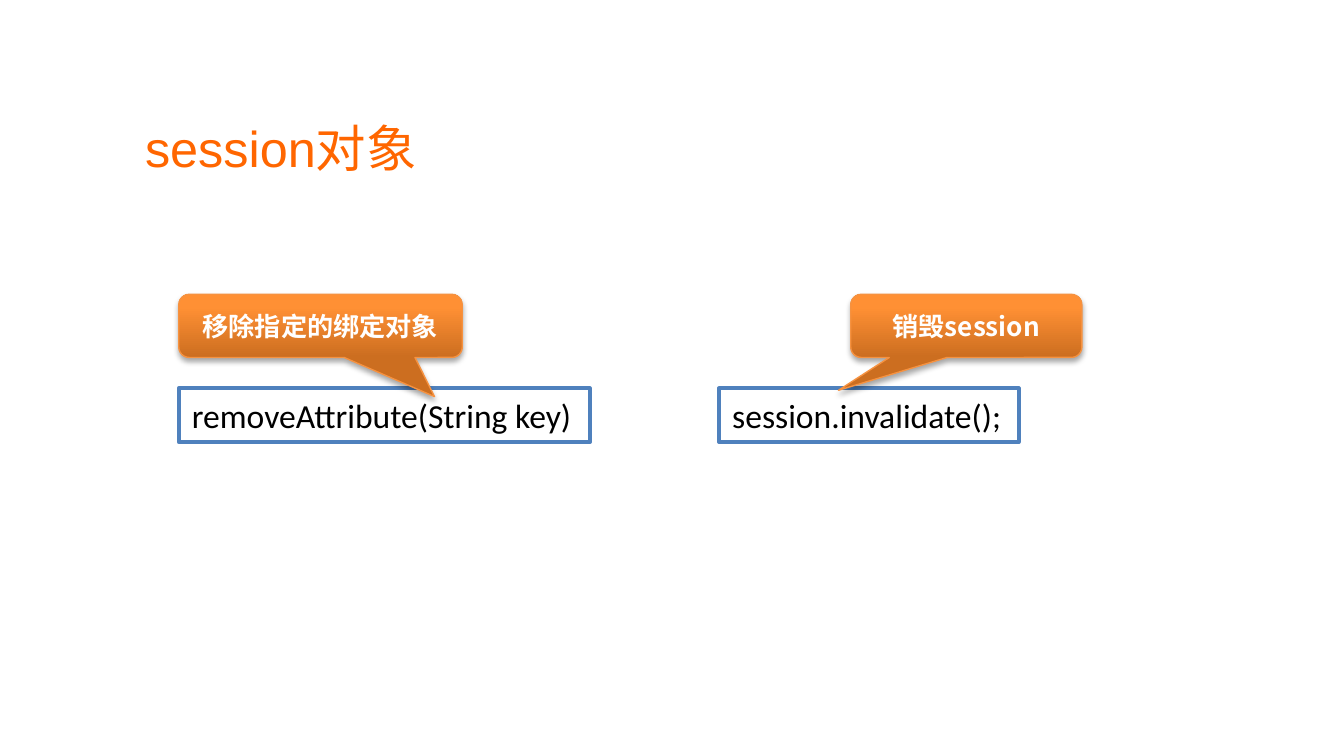
from lxml import etree
from pptx import Presentation
from pptx import util as u
from pptx.dml.color import RGBColor
from pptx.enum import shapes, text
from pptx.oxml import parse_xml
from pptx.oxml.ns import nsdecls, qn

TITLE = "session对象"
CODES = [
    ("removeAttribute(String key)", 1.33, 3.06),
    ("session.invalidate();", 5.35, 2.23),
]
NOTES = [
    ("移除指定的绑定对象", 1.33, 2.11, (0.402, 1.119, 0.167)),
    ("销毁session", 6.33, 1.72, (-0.553, 1.02, 0.167)),
]
COLORS = {
    "title": "FF6600", "box": "FFFFFF", "edge": "4F81BD", "code": "000000",
    "note": "FFFFFF", "rim": "F69240", "shade": "000000",
}
STOPS = [(0, "CC6E20"), (80, "FF9034"), (100, "FF9136")]
CJK = "Noto Sans CJK SC"
CODE_TOP, CODE_HIGH = 2.89, 0.4
NOTE_TOP, NOTE_HIGH = 2.19, 0.47


def color(name):
    return RGBColor.from_string(COLORS[name])


def write(shape, words, size, font, tint, align, anchor, bold=False):
    frame = shape.text_frame
    frame.text = words
    frame.vertical_anchor = anchor
    line = frame.paragraphs[0]
    line.alignment = align
    run = line.runs[0]
    run.font.size = u.Pt(size)
    run.font.name = font
    run.font.bold = bold
    run.font.color.rgb = color(tint)
    east = etree.SubElement(run.font._element, qn("a:ea"))
    east.set("typeface", CJK)


def draw(slide, kind, left, top, wide, high, edge, width):
    shape = slide.shapes.add_shape(
        kind, u.Inches(left), u.Inches(top), u.Inches(wide), u.Inches(high))
    shape.shadow.inherit = False
    shape.line.color.rgb = color(edge)
    shape.line.width = u.Pt(width)
    return shape


def shade(shape):
    props = shape._element.spPr
    stops = "".join(
        f'<a:gs pos="{pos * 1000}"><a:srgbClr val="{tint}"/></a:gs>'
        for pos, tint in STOPS)
    props.find(qn("a:prstGeom")).addnext(parse_xml(
        f'<a:gradFill {nsdecls("a")} rotWithShape="1"><a:gsLst>{stops}</a:gsLst>'
        '<a:lin ang="16200000" scaled="0"/></a:gradFill>'))
    props.find(qn("a:effectLst")).append(parse_xml(
        f'<a:outerShdw {nsdecls("a")} blurRad="{u.Pt(3.1)}" dist="{u.Pt(1.8)}" '
        f'dir="5400000" rotWithShape="0"><a:srgbClr val="{COLORS["shade"]}">'
        '<a:alpha val="35000"/></a:srgbClr></a:outerShdw>'))


def main():
    deck = Presentation()
    deck.slide_width = u.Inches(10)
    deck.slide_height = u.Inches(10) * 9 // 16
    slide = deck.slides.add_slide(deck.slide_layouts[5])
    align, anchor = text.PP_ALIGN, text.MSO_ANCHOR

    title = slide.shapes.title
    title.left, title.top = u.Inches(0.74), u.Inches(0.71)
    title.width, title.height = u.Inches(2.7), u.Inches(0.77)
    frame = title.text_frame
    frame.margin_left = frame.margin_right = u.Inches(0.07)
    frame.margin_top = frame.margin_bottom = u.Inches(0.04)
    write(title, TITLE, 27, "Arial", "title", align.CENTER, anchor.MIDDLE)

    for words, left, wide in CODES:
        box = draw(slide, shapes.MSO_SHAPE.RECTANGLE,
                   left, CODE_TOP, wide, CODE_HIGH, "edge", 2)
        box.fill.solid()
        box.fill.fore_color.rgb = color("box")
        box.text_frame.word_wrap = False
        box.text_frame.auto_size = text.MSO_AUTO_SIZE.SHAPE_TO_FIT_TEXT
        write(box, words, 18, "Calibri", "code", align.LEFT, anchor.TOP)

    for words, left, wide, bends in NOTES:
        note = draw(slide, shapes.MSO_SHAPE.ROUNDED_RECTANGULAR_CALLOUT,
                    left, NOTE_TOP, wide, NOTE_HIGH, "rim", 0.75)
        for i, bend in enumerate(bends):
            note.adjustments[i] = bend
        shade(note)
        write(note, words, 14, CJK, "note", align.CENTER, anchor.MIDDLE, True)

    deck.save("out.pptx")


if __name__ == "__main__":
    main()
